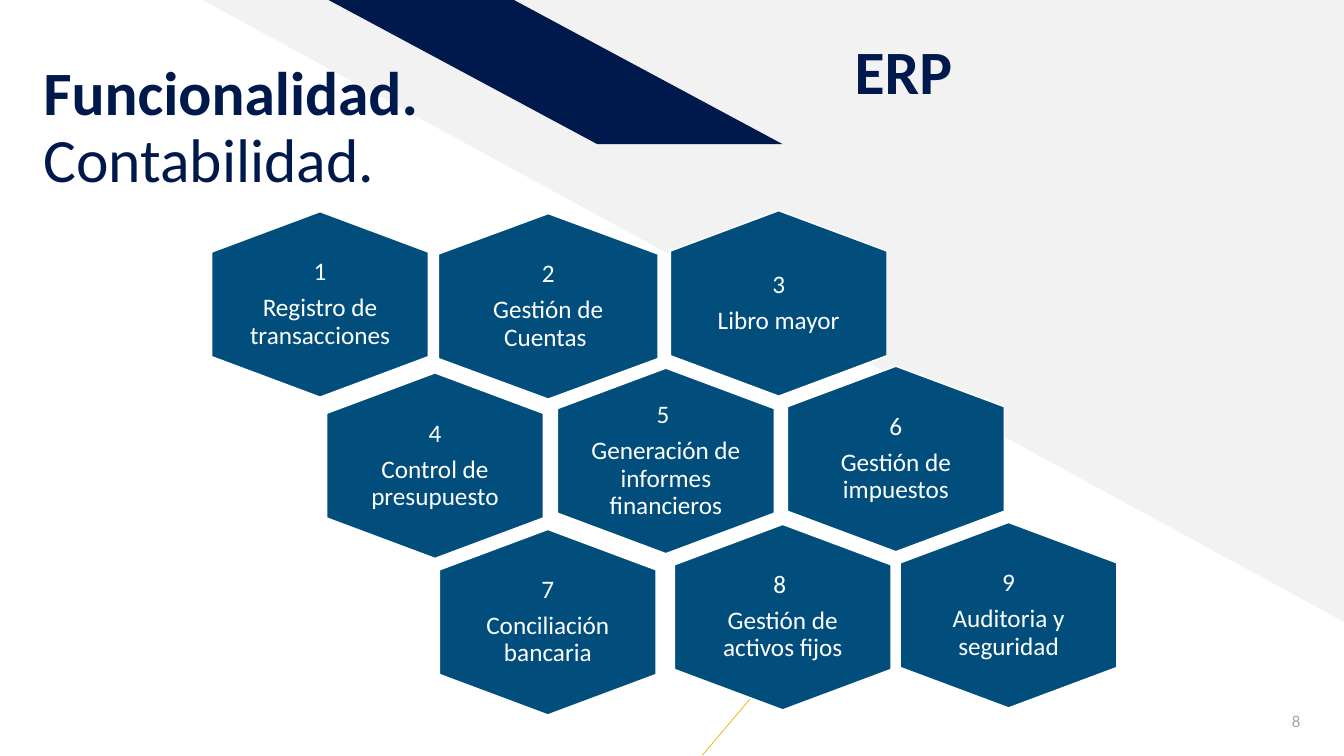
from dataclasses import dataclass

import lxml.etree
import pptx
import pptx.dml.color
import pptx.enum.shapes
import pptx.enum.text
import pptx.oxml.ns
import pptx.presentation
import pptx.shapes.autoshape
import pptx.slide
import pptx.text.text
import pptx.util

Pt = pptx.util.Pt
Align = pptx.enum.text.PP_ALIGN
Anchor = pptx.enum.text.MSO_ANCHOR
Preset = pptx.enum.shapes.MSO_SHAPE


@dataclass(frozen=True)
class Theme:
    font: str = "Calibri"
    navy: str = "00194C"
    blue: str = "014E7D"
    pale: str = "F2F2F2"
    gold: str = "EAB200"
    gray: str = "A5A5A5"
    white: str = "FFFFFF"
    title_size: float = 44
    body_size: float = 18
    number_size: float = 12


@dataclass(frozen=True)
class Hexagon:
    number: str
    label: str
    left: float
    top: float
    insets: tuple[float, float]
    width: float = 154.8


THEME = Theme()
HEXAGON_HEIGHT = 132.5
SHOULDER = 28.9  # drop from the tip to the side corners
NARROW = (18.7, 21.6)
WIDE = (25.9, 28.8)
HEADING_INSETS = (7.2, 3.6, 7.2, 0)

HEXAGONS = [
    Hexagon("1", "Registro de transacciones", 151.2, 151.2, NARROW),
    Hexagon("2", "Gestión de Cuentas ", 313.2, 152.6, NARROW, width=156.8),
    Hexagon("3", "Libro mayor", 478.8, 150.5, WIDE),
    Hexagon("4", "Control de presupuesto", 233.3, 266.4, NARROW),
    Hexagon("5 ", "Generación de informes financieros", 398.2, 263, NARROW),
    Hexagon("6", "Gestión de impuestos", 562.5, 261.6, WIDE),
    Hexagon("7", "Conciliación bancaria", 313.9, 378.2, WIDE),
    Hexagon("8 ", "Gestión de activos fijos", 481.7, 374.6, WIDE),
    Hexagon("9", "Auditoria y seguridad", 643, 373.2, NARROW),
]


def rgb(value: str) -> pptx.dml.color.RGBColor:
    return pptx.dml.color.RGBColor.from_string(value)


def add_text(paragraph, text: str, *, size: float, color: str, bold: bool = False,
             align: Align = Align.LEFT, line_spacing: float = 1.0,
             space_after: float = 0) -> None:
    """Add one formatted run to a paragraph."""
    run = paragraph.add_run()
    run.text = text
    run.font.name = THEME.font
    run.font.size = Pt(size)
    run.font.bold = bold
    run.font.color.rgb = rgb(color)
    paragraph.alignment = align
    paragraph.line_spacing = line_spacing
    paragraph.space_before = Pt(0)
    paragraph.space_after = Pt(space_after)


def set_frame(frame: pptx.text.text.TextFrame, anchor: Anchor,
              insets: tuple[float, float, float, float]) -> None:
    frame.word_wrap = True
    frame.auto_size = pptx.enum.text.MSO_AUTO_SIZE.NONE
    frame.vertical_anchor = anchor
    (frame.margin_left, frame.margin_top,
     frame.margin_right, frame.margin_bottom) = map(Pt, insets)


def add_preset(slide: pptx.slide.Slide, preset: Preset, color: str, left: float, top: float,
               width: float, height: float) -> pptx.shapes.autoshape.Shape:
    shape = slide.shapes.add_shape(preset, Pt(left), Pt(top), Pt(width), Pt(height))
    shape.shadow.inherit = False
    shape.fill.solid()
    shape.fill.fore_color.rgb = rgb(color)
    shape.line.fill.background()
    return shape


def add_background(slide: pptx.slide.Slide) -> None:
    triangle = add_preset(slide, Preset.RIGHT_TRIANGLE, THEME.pale, 144.7, 0, 815.3, 444.2)
    triangle.rotation = 180

    band = add_preset(slide, Preset.PARALLELOGRAM, THEME.navy, 234.7, 0, 324.4, 103)
    band.adjustments[0] = 1.864
    band.element.spPr.get_or_add_xfrm().set("flipH", "1")

    line = slide.shapes.add_connector(pptx.enum.shapes.MSO_CONNECTOR.STRAIGHT,
                                      Pt(501.8), Pt(539.3), Pt(622.1), Pt(397.4))
    line.line.color.rgb = rgb(THEME.gold)
    line.line.width = Pt(0.5)
    lxml.etree.SubElement(line.element.spPr, pptx.oxml.ns.qn("a:effectLst"))


def add_title(slide: pptx.slide.Slide) -> None:
    title = slide.shapes.title
    slide.shapes.element.append(title.element)  # in front of the background
    title.left, title.top, title.width, title.height = map(Pt, (23.8, 32.4, 451.4, 107.3))
    set_frame(title.text_frame, Anchor.BOTTOM, HEADING_INSETS)
    paragraph = title.text_frame.paragraphs[0]
    for text, bold in (("Funcionalidad. ", True), ("Contabilidad.", False)):
        add_text(paragraph, text, size=THEME.title_size, color=THEME.navy,
                 bold=bold, line_spacing=0.9)


def add_text_frame(slide: pptx.slide.Slide, left: float, top: float, width: float,
                   height: float, anchor: Anchor,
                   insets: tuple[float, float, float, float]) -> pptx.text.text.TextFrame:
    box = slide.shapes.add_textbox(Pt(left), Pt(top), Pt(width), Pt(height))
    set_frame(box.text_frame, anchor, insets)
    return box.text_frame


def add_hexagon(slide: pptx.slide.Slide, hexagon: Hexagon) -> None:
    left, top = hexagon.left, hexagon.top
    middle, right = left + hexagon.width / 2, left + hexagon.width
    bottom = top + HEXAGON_HEIGHT
    upper, lower = top + SHOULDER, bottom - SHOULDER
    corners = [(right, upper), (right, lower), (middle, bottom), (left, lower), (left, upper)]
    builder = slide.shapes.build_freeform(Pt(middle), Pt(top))
    builder.add_line_segments([(Pt(x), Pt(y)) for x, y in corners], close=True)
    shape = builder.convert_to_shape()
    shape.shadow.inherit = False
    shape.fill.solid()
    shape.fill.fore_color.rgb = rgb(THEME.blue)
    shape.line.color.rgb = rgb(THEME.white)
    shape.line.width = Pt(1)

    frame = shape.text_frame
    set_frame(frame, Anchor.MIDDLE, hexagon.insets * 2)
    for paragraph, text in ((frame.paragraphs[0], hexagon.number),
                            (frame.add_paragraph(), hexagon.label)):
        add_text(paragraph, text, size=THEME.body_size, color=THEME.white,
                 align=Align.CENTER, line_spacing=0.9, space_after=6.3)


def build_slide(presentation: pptx.presentation.Presentation) -> None:
    slide = presentation.slides.add_slide(presentation.slide_layouts[5])
    add_background(slide)
    add_title(slide)

    # Slide number
    number = add_text_frame(slide, 906.6, 500.4, 29.4, 28.8, Anchor.MIDDLE, (0, 3.6, 7.2, 3.6))
    add_text(number.paragraphs[0], "8", size=THEME.number_size, color=THEME.gray,
             align=Align.RIGHT)

    # Accounting functions
    for hexagon in HEXAGONS:
        add_hexagon(slide, hexagon)

    # Topic heading
    topic = add_text_frame(slide, 603.4, 25.9, 93.6, 50.4, Anchor.BOTTOM, HEADING_INSETS)
    add_text(topic.paragraphs[0], "ERP", size=THEME.title_size, color=THEME.navy,
             bold=True, line_spacing=0.8)


def main() -> None:
    presentation = pptx.Presentation()
    presentation.slide_width, presentation.slide_height = Pt(960), Pt(540)
    build_slide(presentation)
    presentation.save("out.pptx")


if __name__ == "__main__":
    main()
